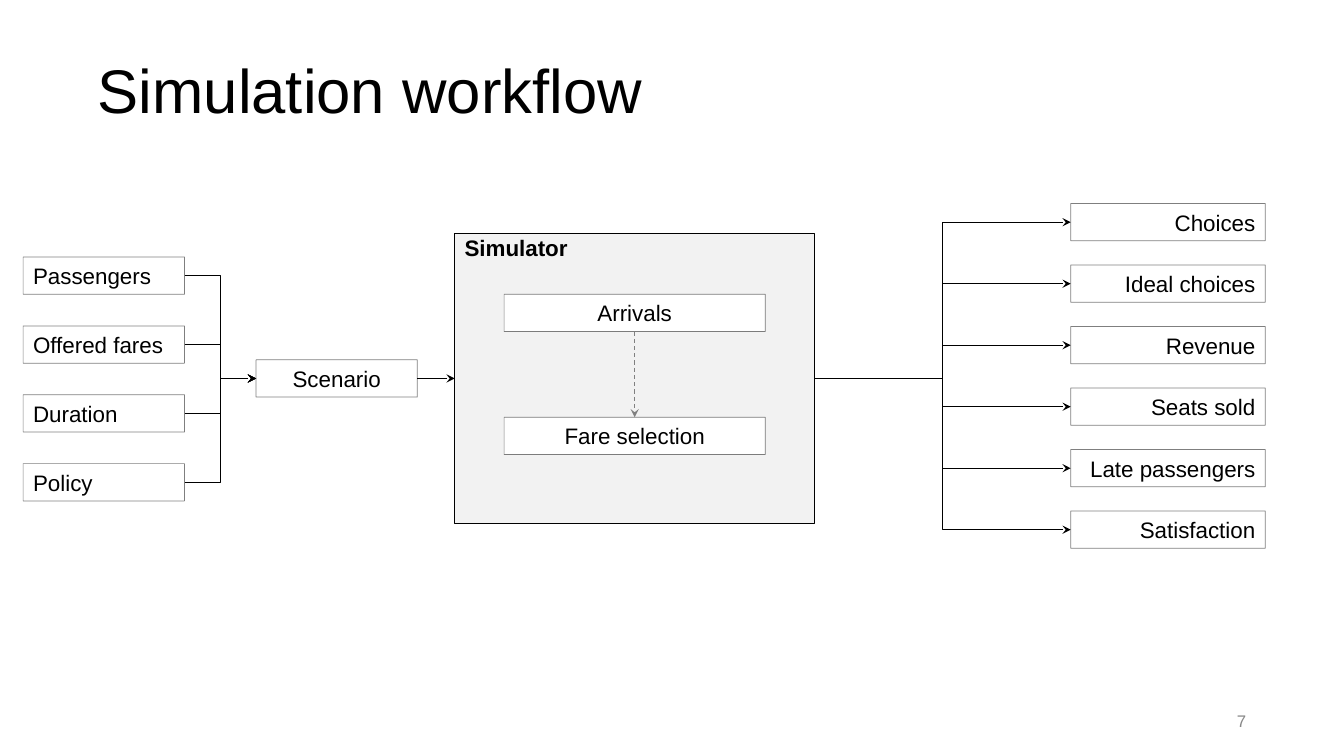
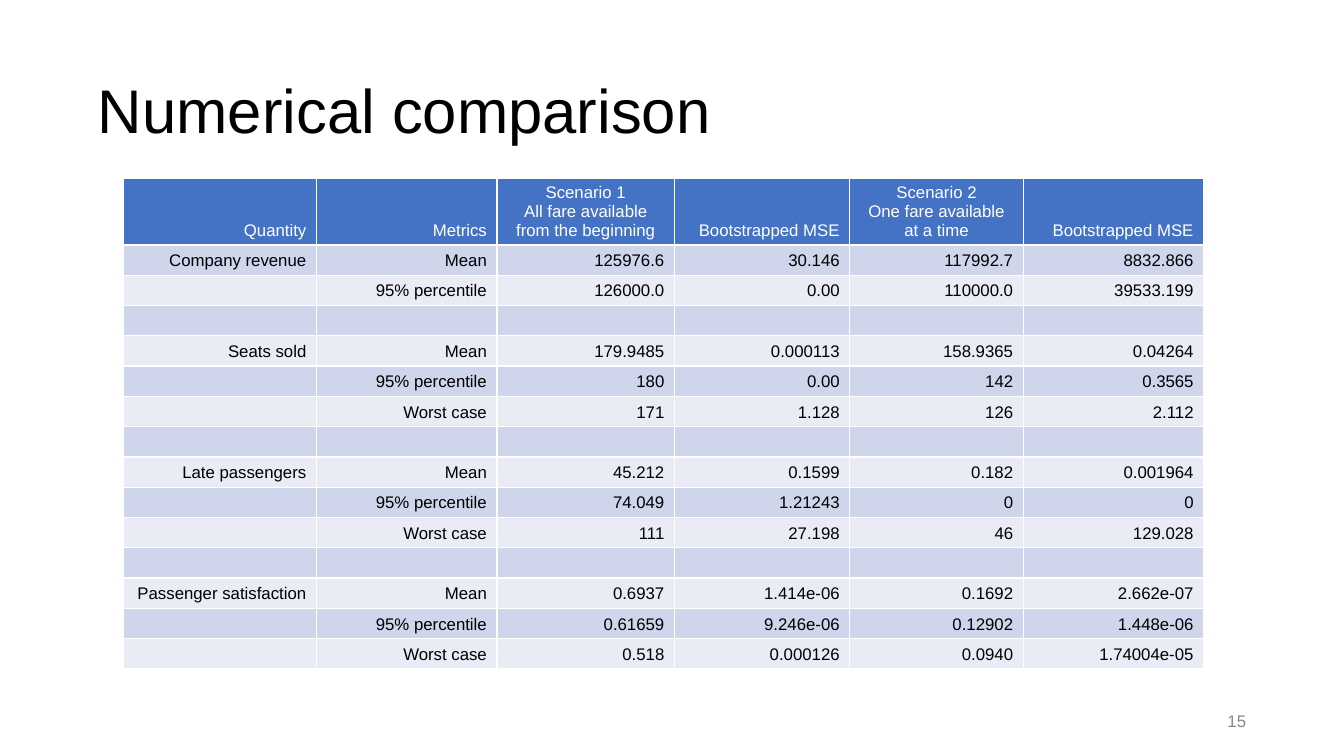
"""Build two slides on a fare simulation: its workflow and a numerical comparison."""
import lxml.etree
import pptx
import pptx.dml.color
import pptx.enum.dml
import pptx.enum.shapes
import pptx.enum.text
import pptx.oxml.ns
import pptx.util

Inches = pptx.util.Inches
Pt = pptx.util.Pt
ALIGN = pptx.enum.text.PP_ALIGN
ANCHOR = pptx.enum.text.MSO_ANCHOR
CONNECTOR = pptx.enum.shapes.MSO_CONNECTOR
qn = pptx.oxml.ns.qn

COLORS = {
    "text": "000000",
    "number": "888888",
    "panel": "F2F2F2",
    "muted": "808080",
    "white": "FFFFFF",
    "header": "4472C4",
    "band_dark": "CFD5EA",
    "band_light": "E9EBF5",
}
FONT = "Arial"
TOP, LEFT, BOTTOM, RIGHT = range(4)
BOX_HEIGHT = 0.37

INPUTS = ["Passengers", "Offered fares", "Duration", "Policy"]
OUTPUTS = ["Choices", "Ideal choices", "Revenue", "Seats sold", "Late passengers", "Satisfaction"]

COLUMN_WIDTHS = [1.92, 1.79, 1.76, 1.74, 1.72, 1.79]
HEADER = [
    "Quantity",
    "Metrics",
    "Scenario 1\nAll fare available\nfrom the beginning",
    "Bootstrapped MSE",
    "Scenario 2\nOne fare available\nat a time",
    "Bootstrapped MSE",
]
SPACER = [""] * len(HEADER)
RESULTS = [
    ["Company revenue", "Mean", "125976.6", "30.146", "117992.7", "8832.866"],
    ["", "95% percentile", "126000.0", "0.00", "110000.0", "39533.199"],
    SPACER,
    ["Seats sold", "Mean", "179.9485", "0.000113", "158.9365", "0.04264"],
    ["", "95% percentile", "180", "0.00", "142", "0.3565"],
    ["", "Worst case", "171", "1.128", "126", "2.112"],
    SPACER,
    ["Late passengers", "Mean", "45.212", "0.1599", "0.182", "0.001964"],
    ["", "95% percentile", "74.049", "1.21243", "0", "0"],
    ["", "Worst case", "111", "27.198", "46", "129.028"],
    SPACER,
    ["Passenger satisfaction", "Mean", "0.6937", "1.414e-06", "0.1692", "2.662e-07"],
    ["", "95% percentile", "0.61659", "9.246e-06", "0.12902", "1.448e-06"],
    ["", "Worst case", "0.518", "0.000126", "0.0940", "1.74004e-05"],
]


def rgb(name):
    """Return a palette colour."""
    return pptx.dml.color.RGBColor.from_string(COLORS[name])


def write(frame, text, size, color="text", align=ALIGN.LEFT, bold=False):
    """Fill a text frame with evenly styled paragraphs."""
    frame.text = text
    for paragraph in frame.paragraphs:
        paragraph.alignment = align
        paragraph.font.name = FONT
        paragraph.font.size = Pt(size)
        paragraph.font.bold = bold
        paragraph.font.color.rgb = rgb(color)


def add_label(slide, place, text, size, inset=None, anchor=ANCHOR.TOP, **style):
    """Add a text box and return its frame."""
    frame = slide.shapes.add_textbox(*map(Inches, place)).text_frame
    frame.word_wrap = True
    frame.vertical_anchor = anchor
    if inset is not None:
        frame.margin_left = frame.margin_right = Inches(inset)
        frame.margin_top = frame.margin_bottom = Inches(inset)
    write(frame, text, size, **style)
    return frame


def add_titled_slide(deck, title, title_top, number):
    """Add a blank slide with its title and page number."""
    slide = deck.slides.add_slide(deck.slide_layouts[6])
    heading = add_label(slide, (0.92, title_top, 11.5, 1.45), title, 44,
                        inset=0.05, anchor=ANCHOR.MIDDLE)
    heading.paragraphs[0].line_spacing = 0.9
    add_label(slide, (12.01, 7.02, 0.4, 0.27), str(number), 12, inset=0.05,
              anchor=ANCHOR.MIDDLE, color="number", align=ALIGN.RIGHT)
    return slide


def add_box(slide, place, text="", align=ALIGN.CENTER, fill=None, faint=True):
    """Add a thinly outlined rectangle with optional text."""
    box = slide.shapes.add_shape(pptx.enum.shapes.MSO_SHAPE.RECTANGLE, *map(Inches, place))
    box.shadow.inherit = False
    if fill:
        box.fill.solid()
        box.fill.fore_color.rgb = rgb(fill)
    else:
        box.fill.background()
    box.line.color.rgb = rgb("text")
    box.line.width = Pt(0.5)
    if faint:
        ink = box._element.spPr.find(qn("a:ln")).find(".//" + qn("a:srgbClr"))
        lxml.etree.SubElement(ink, qn("a:alpha"), val="50000")
    if text:
        write(box.text_frame, text, 16, align=align)
    return box


def add_column(slide, names, left, first_top, last_top, width, align):
    """Stack boxes evenly between two tops."""
    step = (last_top - first_top) / (len(names) - 1)
    return [add_box(slide, (left, first_top + i * step, width, BOX_HEIGHT), name, align)
            for i, name in enumerate(names)]


def add_arrow(slide, source, target, kind=CONNECTOR.ELBOW, sides=(RIGHT, LEFT),
              color="text", dashed=False):
    """Join two boxes with a stealth-headed connector."""
    arrow = slide.shapes.add_connector(kind, 0, 0, 0, 0)
    arrow.begin_connect(source, sides[0])
    arrow.end_connect(target, sides[1])
    arrow.line.color.rgb = rgb(color)
    arrow.line.width = Pt(0.75)
    if dashed:
        arrow.line.dash_style = pptx.enum.dml.MSO_LINE.DASH
    properties = arrow._element.spPr
    lxml.etree.SubElement(properties.find(qn("a:ln")), qn("a:tailEnd"), type="stealth")
    lxml.etree.SubElement(properties, qn("a:effectLst"))


def style_cell(cell, text, fill, color="text", align=ALIGN.RIGHT, margin_top=0.05):
    """Write a bottom-anchored table cell with white borders."""
    write(cell.text_frame, text, 12, color=color, align=align)
    if not text:
        lxml.etree.SubElement(cell.text_frame.paragraphs[0]._p, qn("a:endParaRPr"), sz="1200")
    cell.margin_top = Inches(margin_top)
    cell.margin_bottom = Inches(0.05)
    cell.vertical_anchor = ANCHOR.BOTTOM
    properties = cell._tc.get_or_add_tcPr()
    for side in ("lnL", "lnR", "lnT", "lnB"):
        border = lxml.etree.SubElement(properties, qn(f"a:{side}"), w=str(Pt(1)))
        paint = lxml.etree.SubElement(border, qn("a:solidFill"))
        lxml.etree.SubElement(paint, qn("a:srgbClr"), val=COLORS["white"])
    cell.fill.solid()
    cell.fill.fore_color.rgb = rgb(fill)


def add_results_table(slide):
    """Add the banded comparison table."""
    row_heights = [0.65] + [0.3] * len(RESULTS)
    place = (1.22, 1.77, sum(COLUMN_WIDTHS), sum(row_heights))
    table = slide.shapes.add_table(len(row_heights), len(HEADER), *map(Inches, place)).table
    for column, width in zip(table.columns, COLUMN_WIDTHS):
        column.width = Inches(width)
    for row, height in zip(table.rows, row_heights):
        row.height = Inches(height)
    for c, text in enumerate(HEADER):
        align = ALIGN.CENTER if "\n" in text else ALIGN.RIGHT
        style_cell(table.cell(0, c), text, "header", "white", align, margin_top=0.01)
    for r, values in enumerate(RESULTS, start=1):
        band = "band_dark" if r % 2 else "band_light"
        for c, text in enumerate(values):
            style_cell(table.cell(r, c), text, band)


def add_workflow(slide):
    """Draw the flow from inputs through the simulator to outputs."""
    simulator = add_box(slide, (4.51, 2.32, 3.57, 2.87), fill="panel", faint=False)
    add_label(slide, (4.51, 2.27, 1.93, BOX_HEIGHT), "Simulator", 16, bold=True)
    arrivals, selection = [
        add_box(slide, (5, top, 2.59, BOX_HEIGHT), name, fill="white")
        for name, top in (("Arrivals", 2.92), ("Fare selection", 4.14))
    ]
    scenario = add_box(slide, (2.54, 3.57, 1.6, BOX_HEIGHT), "Scenario")
    inputs = add_column(slide, INPUTS, 0.23, 2.55, 4.6, 1.6, ALIGN.LEFT)
    outputs = add_column(slide, OUTPUTS, 10.62, 2.02, 5.07, 1.93, ALIGN.RIGHT)

    add_arrow(slide, arrivals, selection, CONNECTOR.STRAIGHT, (BOTTOM, TOP), "muted", True)
    add_arrow(slide, scenario, simulator, CONNECTOR.STRAIGHT)
    for source in inputs:
        add_arrow(slide, source, scenario)
    for target in outputs:
        add_arrow(slide, simulator, target)


def main():
    """Build and save the deck."""
    deck = pptx.Presentation()
    deck.slide_width = Inches(13.33)
    deck.slide_height = Inches(7.5)
    add_workflow(add_titled_slide(deck, "Simulation workflow", 0.2, 7))
    add_results_table(add_titled_slide(deck, "Numerical comparison", 0.4, 15))
    deck.save("out.pptx")


if __name__ == "__main__":
    main()
